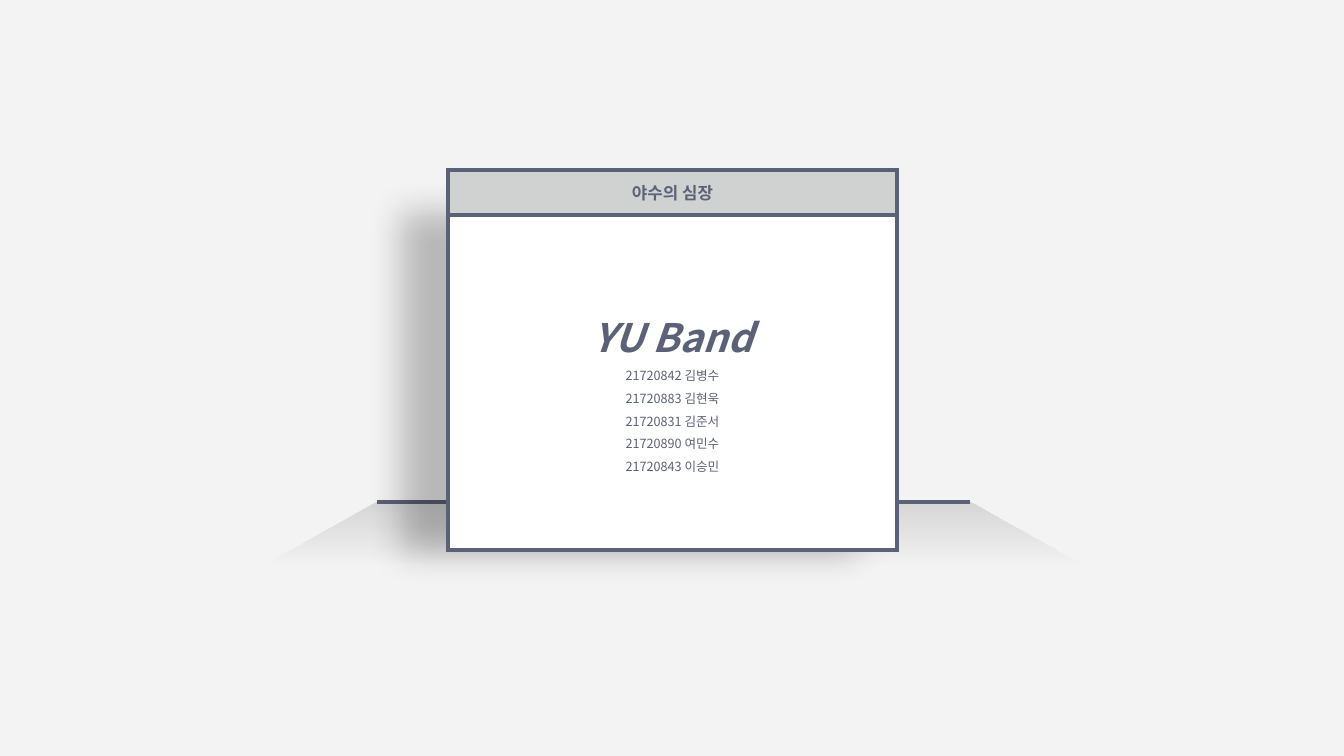
from dataclasses import dataclass
from lxml.etree import SubElement
from pptx import Presentation
from pptx.dml.color import RGBColor
from pptx.enum.shapes import MSO_CONNECTOR, MSO_SHAPE
from pptx.enum.text import MSO_ANCHOR, MSO_AUTO_SIZE, PP_ALIGN
from pptx.oxml.ns import qn
from pptx.util import Inches, Pt


@dataclass(frozen=True)
class Theme:
    background: RGBColor = RGBColor(0xF3, 0xF3, 0xF3)
    ink: RGBColor = RGBColor(0x5B, 0x61, 0x76)
    header: RGBColor = RGBColor(0xD0, 0xD2, 0xD2)
    panel: RGBColor = RGBColor(0xFF, 0xFF, 0xFF)
    shade: RGBColor = RGBColor(0, 0, 0)
    font: str = "Noto Sans CJK KR"
    band_size: Pt = Pt(28)
    header_size: Pt = Pt(12)
    member_size: Pt = Pt(9)
    outline: Pt = Pt(3)


THEME = Theme()
WIDTH, HEIGHT = Inches(13.33), Inches(7.5)

# Stage and window geometry, in inches
WINDOW_LEFT, WINDOW_WIDTH = 4.44, 4.46
HEADER_TOP, HEADER_HEIGHT = 1.69, 0.44
PANEL_TOP, PANEL_HEIGHT = 2.12, 3.34
STAGE_LEFT, STAGE_TOP, STAGE_WIDTH, STAGE_HEIGHT = 2.57, 4.98, 8.22, 0.64
STAGE_INSET = 1.17

MEMBERS = ["21720842 김병수", "21720883 김현욱", "21720831 김준서",
           "21720890 여민수", "21720843 이승민"]


def apply_format(target, values):
    for name, value in values.items():
        setattr(target, name, value)


def set_outline(shape):
    apply_format(shape.line, {"width": THEME.outline})
    shape.line.color.rgb = THEME.ink


def add_stage_floor(slide):
    floor = slide.shapes.add_shape(
        MSO_SHAPE.TRAPEZOID, Inches(STAGE_LEFT), Inches(STAGE_TOP),
        Inches(STAGE_WIDTH), Inches(STAGE_HEIGHT))
    floor.adjustments[0] = STAGE_INSET / STAGE_HEIGHT
    floor.shadow.inherit = False
    floor.line.fill.background()
    # Fade from a light shade to nothing, top to bottom
    floor.fill.gradient()
    floor.fill.gradient_angle = 270
    for stop, opacity in zip(floor.fill.gradient_stops, (13, 0)):
        stop.color.rgb = THEME.shade
    for color, opacity in zip(floor._element.spPr.iter(qn("a:srgbClr")), (13, 0)):
        SubElement(color, qn("a:alpha"), val=str(opacity * 1000))


def add_stage_edge(slide):
    right = STAGE_LEFT + STAGE_WIDTH - STAGE_INSET
    edge = slide.shapes.add_connector(
        MSO_CONNECTOR.STRAIGHT, Inches(STAGE_LEFT + STAGE_INSET),
        Inches(STAGE_TOP), Inches(right), Inches(STAGE_TOP))
    set_outline(edge)
    SubElement(edge._element.spPr, qn("a:effectLst"))


def place_box(slide, box, top, height, fill):
    """Turn a placeholder into an outlined box in front of earlier shapes."""
    slide.shapes._spTree.append(box._element)
    apply_format(box, {"left": Inches(WINDOW_LEFT), "top": Inches(top),
                       "width": Inches(WINDOW_WIDTH), "height": Inches(height)})
    box.fill.solid()
    box.fill.fore_color.rgb = fill
    set_outline(box)
    SubElement(box.line._get_or_add_ln(), qn("a:miter"), lim="800000")
    apply_format(box.text_frame, {
        "word_wrap": True, "auto_size": MSO_AUTO_SIZE.NONE,
        "vertical_anchor": MSO_ANCHOR.MIDDLE})


def add_panel_shadow(panel):
    effects = SubElement(panel._element.spPr, qn("a:effectLst"))
    shadow = SubElement(effects, qn("a:outerShdw"), blurRad=str(Pt(25)),
                        dist=str(Pt(32)), dir=str(180 * 60000),
                        algn="r", rotWithShape="0")
    color = SubElement(shadow, qn("a:srgbClr"), val=str(THEME.shade))
    SubElement(color, qn("a:alpha"), val="24000")


def write_line(paragraph, text, spacing, font_format):
    apply_format(paragraph, {"alignment": PP_ALIGN.CENTER, "space_before": Pt(0),
                             "line_spacing": spacing})
    properties = paragraph._p.get_or_add_pPr()
    apply_bullet_free(properties)
    run = paragraph.add_run()
    run.text = text
    apply_format(run.font, {"name": THEME.font, **font_format})
    run.font.color.rgb = THEME.ink
    SubElement(run.font._element, qn("a:ea"), typeface=THEME.font)


def apply_bullet_free(properties):
    for name in ("marL", "indent"):
        properties.set(name, "0")
    SubElement(properties, qn("a:buNone"))


def main():
    presentation = Presentation()
    apply_format(presentation, {"slide_width": WIDTH, "slide_height": HEIGHT})
    slide = presentation.slides.add_slide(presentation.slide_layouts[1])
    slide.background.fill.solid()
    slide.background.fill.fore_color.rgb = THEME.background
    header, panel = slide.shapes.title, slide.placeholders[1]

    # Stage behind the window
    add_stage_floor(slide)
    add_stage_edge(slide)

    # Window panel with the band name and its members
    place_box(slide, panel, PANEL_TOP, PANEL_HEIGHT, THEME.panel)
    add_panel_shadow(panel)
    write_line(panel.text_frame.paragraphs[0], "YU Band", 1.5,
               {"size": THEME.band_size, "bold": True, "italic": True})
    for member in MEMBERS:
        write_line(panel.text_frame.add_paragraph(), member, 1.5,
                   {"size": THEME.member_size, "bold": False, "italic": False})

    # Window header
    place_box(slide, header, HEADER_TOP, HEADER_HEIGHT, THEME.header)
    write_line(header.text_frame.paragraphs[0], "야수의 심장", 1.0,
               {"size": THEME.header_size, "bold": True})

    presentation.save("out.pptx")


if __name__ == "__main__":
    main()
